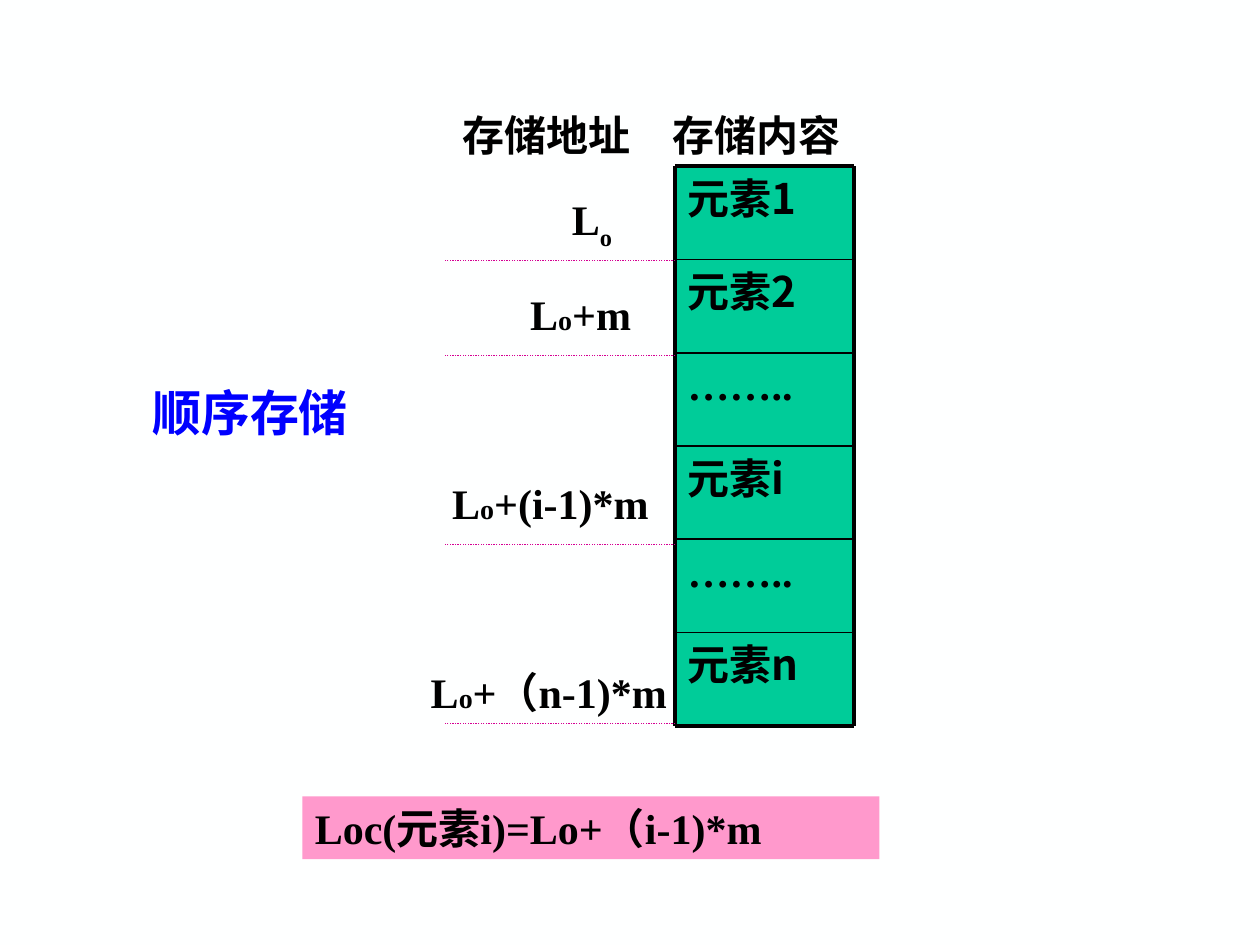
from dataclasses import dataclass

from lxml.etree import SubElement
from pptx import Presentation
from pptx.dml.color import RGBColor
from pptx.enum.dml import MSO_LINE
from pptx.enum.shapes import MSO_CONNECTOR, MSO_SHAPE
from pptx.enum.text import MSO_ANCHOR, MSO_AUTO_SIZE, PP_ALIGN
from pptx.oxml.ns import qn
from pptx.slide import Slide
from pptx.text.text import TextFrame
from pptx.util import Emu, Pt

EMU_PER_PX = 9144  # 100 px to the inch
SERIF = "Times New Roman"
SANS = "Noto Sans CJK SC"
COLORS = {
    "background": "FEFFFF",
    "text": "000000",
    "title": "0000FF",
    "cell": "00CC99",
    "border": "000000",
    "guide": "D60093",
    "formula": "FF99CC",
}

CELL_LEFT, CELL_TOP, CELL_WIDTH, CELL_HEIGHT = 536, 132, 142, 74
CELL_TEXTS = ["元素1", "元素2", "……..", "元素i", "……..", "元素n"]
GUIDE_LEFT = 353
GUIDE_HEIGHTS = [207, 282, 432, 574]


@dataclass(frozen=True)
class Box:
    left: int
    top: int
    width: int
    height: int


@dataclass(frozen=True)
class Piece:
    """A stretch of text in one format."""
    text: str
    size: int = 24
    baseline: int = 0


@dataclass(frozen=True)
class Label:
    box: Box
    pieces: tuple[Piece, ...]
    color: str = "text"
    wrap: bool = True


BASE = Piece("L")
SMALL_O = Piece("o", 16)
LABELS = [
    Label(Box(444, 149, 83, 50), (BASE, Piece("o", baseline=-25))),
    Label(Box(411, 224, 117, 50), (BASE, SMALL_O, Piece("+m"))),
    Label(Box(349, 374, 212, 50), (BASE, SMALL_O, Piece("+(i-1)*m"))),
    Label(Box(332, 524, 208, 50), (BASE, SMALL_O, Piece("+（n-1)*m"))),
    Label(Box(357, 82, 171, 50), (Piece("存储地址"),)),
    Label(Box(524, 82, 158, 50), (Piece("存储内容"),)),
    Label(Box(111, 299, 176, 57), (Piece("顺序存储", 28),), "title", False),
]


def px(length: int) -> Emu:
    return Emu(length * EMU_PER_PX)


def rgb(name: str) -> RGBColor:
    return RGBColor.from_string(COLORS[name])


def write(frame: TextFrame, pieces: tuple[Piece, ...], font: str = SERIF,
          color: str = "text", wrap: bool = True, grow: bool = True) -> None:
    frame.word_wrap = wrap
    frame.auto_size = MSO_AUTO_SIZE.SHAPE_TO_FIT_TEXT if grow else MSO_AUTO_SIZE.NONE
    frame.vertical_anchor = MSO_ANCHOR.TOP
    paragraph = frame.paragraphs[0]
    paragraph.alignment = PP_ALIGN.LEFT
    for piece in pieces:
        run = paragraph.add_run()
        run.text = piece.text
        run.font.size = Pt(piece.size)
        run.font.bold = True
        run.font.color.rgb = rgb(color)
        run.font.name = font
        properties = run.font._element
        SubElement(properties, qn("a:ea")).set("typeface", SANS)
        if piece.baseline:
            properties.set("baseline", str(piece.baseline * 1000))


def add_label(slide: Slide, label: Label) -> None:
    box = label.box
    shape = slide.shapes.add_textbox(px(box.left), px(box.top), px(box.width), px(box.height))
    write(shape.text_frame, label.pieces, color=label.color, wrap=label.wrap)


def add_rectangle(slide: Slide, box: Box, fill: str, text: str,
                  font: str = SERIF, grow: bool = False) -> None:
    shape = slide.shapes.add_shape(
        MSO_SHAPE.RECTANGLE, px(box.left), px(box.top), px(box.width), px(box.height))
    shape.shadow.inherit = False
    shape.fill.solid()
    shape.fill.fore_color.rgb = rgb(fill)
    shape.line.fill.background()
    write(shape.text_frame, (Piece(text),), font, grow=grow)


def add_line(slide: Slide, start: tuple[int, int], end: tuple[int, int],
             color: str, width: float, dotted: bool = False) -> None:
    line = slide.shapes.add_connector(
        MSO_CONNECTOR.STRAIGHT, px(start[0]), px(start[1]), px(end[0]), px(end[1]))
    line.line.color.rgb = rgb(color)
    line.line.width = Pt(width)
    if dotted:
        line.line.dash_style = MSO_LINE.ROUND_DOT
    SubElement(line._element.spPr, qn("a:effectLst"))


def add_storage(slide: Slide) -> None:
    """Draw the column of memory cells and its ruled borders."""
    count = len(CELL_TEXTS)
    right = CELL_LEFT + CELL_WIDTH
    bottom = CELL_TOP + count * CELL_HEIGHT
    for row, text in enumerate(CELL_TEXTS):
        box = Box(CELL_LEFT, CELL_TOP + row * CELL_HEIGHT, CELL_WIDTH, CELL_HEIGHT)
        add_rectangle(slide, box, "cell", text, SANS if text.startswith("元素") else SERIF)
    for row in range(count + 1):
        y = CELL_TOP + row * CELL_HEIGHT
        width = 2.25 if row in (0, count) else 1
        add_line(slide, (CELL_LEFT, y), (right, y), "border", width)
    for x in (CELL_LEFT, right):
        add_line(slide, (x, CELL_TOP), (x, bottom), "border", 2.25)


def main() -> None:
    presentation = Presentation()
    presentation.slide_width, presentation.slide_height = px(1000), px(750)
    slide = presentation.slides.add_slide(presentation.slide_layouts[6])
    slide.background.fill.solid()
    slide.background.fill.fore_color.rgb = rgb("background")

    add_storage(slide)
    for label in LABELS:
        add_label(slide, label)
    for y in GUIDE_HEIGHTS:
        add_line(slide, (CELL_LEFT, y), (GUIDE_LEFT, y), "guide", 0.75, dotted=True)
    add_rectangle(slide, Box(240, 632, 458, 50), "formula",
                  "Loc(元素i)=Lo+（i-1)*m", grow=True)
    presentation.save("out.pptx")


if __name__ == "__main__":
    main()
